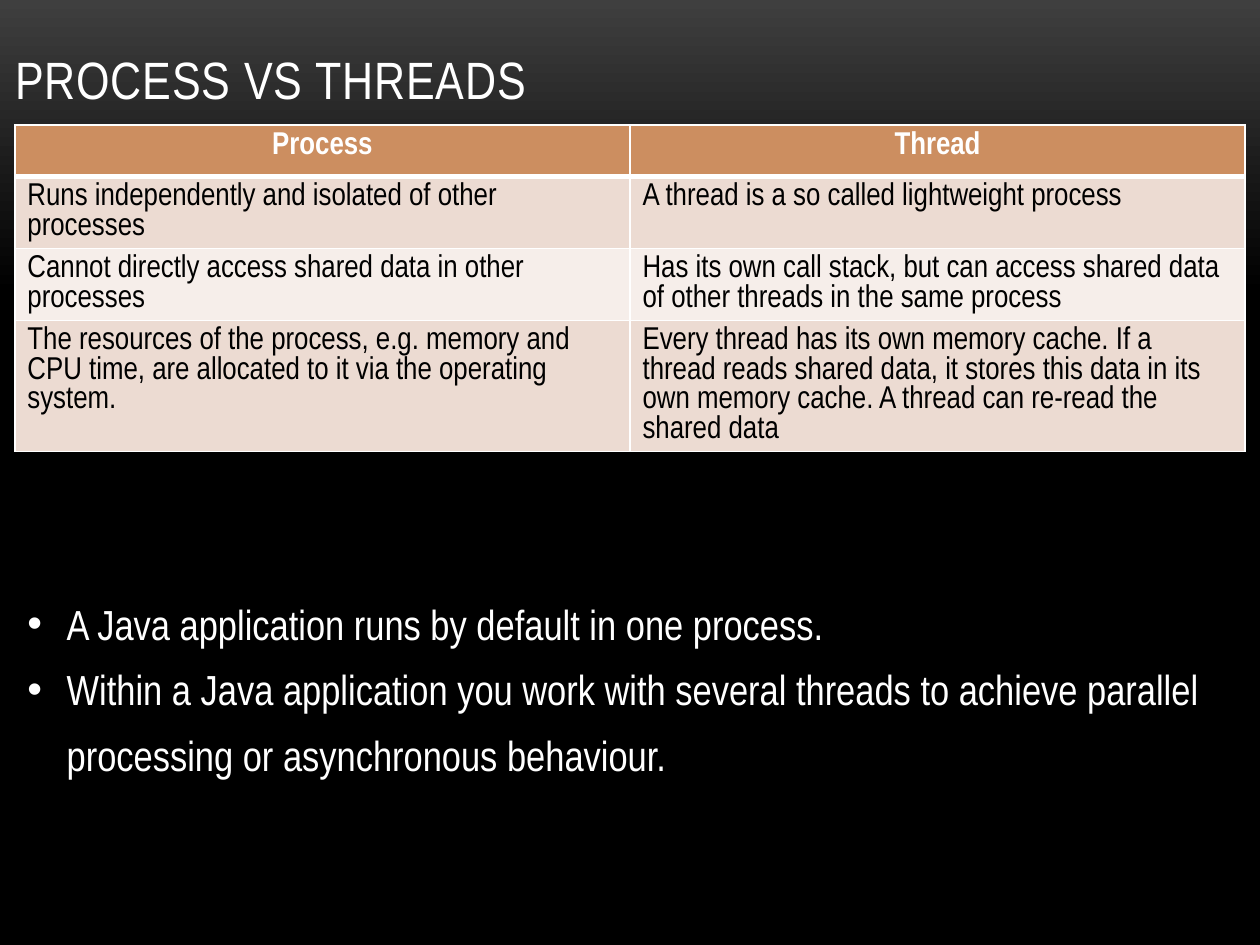
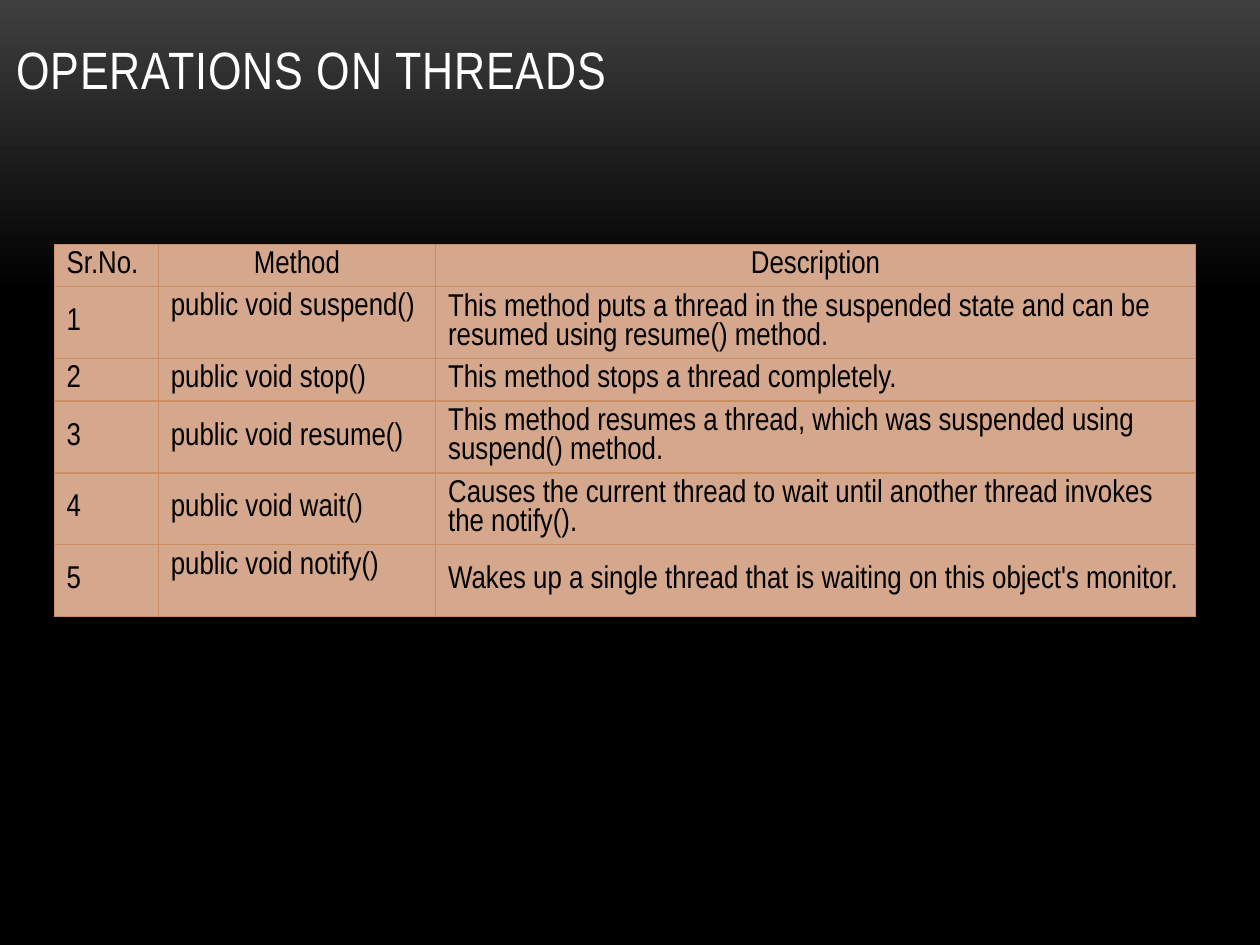
"""Build two slides that compare processes with threads and list thread operations."""
from dataclasses import dataclass

from lxml import etree
from pptx import Presentation
from pptx import util as u
from pptx.dml.color import RGBColor
from pptx.enum import text
from pptx.oxml.ns import qn

FONT = "Arial Narrow"
WHITE, BLACK, CHARCOAL = "FFFFFF", "000000", "3F3F3F"
COPPER, SAND, ROSE, PALE = "CC8E60", "D5A78C", "ECDBD2", "F6EEEA"
LEFT, CENTER = text.PP_ALIGN.LEFT, text.PP_ALIGN.CENTER
TOP, MIDDLE, BOTTOM = text.MSO_ANCHOR.TOP, text.MSO_ANCHOR.MIDDLE, text.MSO_ANCHOR.BOTTOM


@dataclass
class Box:
    left: float
    top: float
    width: float
    height: float


@dataclass
class Cell:
    words: str
    fill: str
    color: str = BLACK
    bold: bool = False
    align: text.PP_ALIGN = LEFT
    anchor: text.MSO_ANCHOR = TOP


@dataclass
class Grid:
    left: float
    top: float
    columns: list[float]
    rows: list[float]
    cells: list[list[Cell]]
    line_color: str
    line_width: float
    header_rule: float


COMPARISON = [
    ("Process", "Thread"),
    ("Runs independently and isolated of other processes",
     "A thread is a so called lightweight process"),
    ("Cannot directly access shared data in other processes",
     "Has its own call stack, but can access shared data of other threads in the same process"),
    ("The resources of the process, e.g. memory and CPU time, are allocated to it via the "
     "operating system.",
     "Every thread has its own memory cache. If a thread reads shared data, it stores this data "
     "in its own memory cache. A thread can re-read the shared data"),
]
JAVA_NOTES = [
    "A Java application runs by default in one process.",
    "Within a Java application you work with several threads to achieve parallel "
    "processing or asynchronous behaviour.",
]
OPERATIONS = [
    ("public void suspend()",
     "This method puts a thread in the suspended state and can be resumed using resume() method."),
    ("public void stop()", "This method stops a thread completely."),
    ("public void resume()",
     "This method resumes a thread, which was suspended using suspend() method."),
    ("public void wait()",
     "Causes the current thread to wait until another thread invokes the notify()."),
    ("public void notify()",
     "Wakes up a single thread that is waiting on this object's monitor."),
]
TOP_METHODS = {"public void suspend()", "public void notify()"}


def rgb(color: str) -> RGBColor:
    return RGBColor.from_string(color)


def write(paragraph, words: str, *, size: float, color: str = WHITE, bold: bool = False,
          align: text.PP_ALIGN = LEFT, line_spacing: float = 1.0, tracking: int = 0) -> None:
    paragraph.alignment = align
    paragraph.line_spacing = line_spacing
    paragraph.space_before = u.Pt(0)
    run = paragraph.add_run()
    run.text = words
    run.font.name = FONT
    run.font.size = u.Pt(size)
    run.font.bold = bold
    run.font.color.rgb = rgb(color)
    if tracking:
        run.font._element.set("spc", str(tracking))


def place(shape, box: Box, anchor: text.MSO_ANCHOR):
    shape.left, shape.top = u.Cm(box.left), u.Cm(box.top)
    shape.width, shape.height = u.Cm(box.width), u.Cm(box.height)
    frame = shape.text_frame
    frame.word_wrap = True
    frame.auto_size = text.MSO_AUTO_SIZE.NONE
    frame.vertical_anchor = anchor
    return frame


def add_slide(presentation, layout: str, title: str, box: Box):
    slide = presentation.slides.add_slide(presentation.slide_layouts.get_by_name(layout))
    frame = place(slide.shapes.title, box, BOTTOM)
    write(frame.paragraphs[0], title, size=30, tracking=50)
    return slide


def add_bullets(shape, box: Box, items: list[str]) -> None:
    frame = place(shape, box, TOP)
    for index, item in enumerate(items):
        paragraph = frame.add_paragraph() if index else frame.paragraphs[0]
        properties = paragraph._p.get_or_add_pPr()
        properties.set("marL", str(u.Cm(0.79)))
        properties.set("indent", str(-u.Cm(0.79)))
        etree.SubElement(properties, qn("a:buFont")).set("typeface", "Arial")
        etree.SubElement(properties, qn("a:buChar")).set("char", "•")
        write(paragraph, item, size=24, line_spacing=1.3)


def set_borders(cell, color: str, widths: dict[str, float]) -> None:
    properties = cell._tc.get_or_add_tcPr()
    for side, width in widths.items():
        line = etree.SubElement(properties, qn(f"a:ln{side}"), w=str(u.Pt(width)))
        fill = etree.SubElement(line, qn("a:solidFill"))
        etree.SubElement(fill, qn("a:srgbClr")).set("val", color)


def add_grid(slide, grid: Grid) -> None:
    frame = slide.shapes.add_table(
        len(grid.rows), len(grid.columns), u.Cm(grid.left), u.Cm(grid.top),
        u.Cm(sum(grid.columns)), u.Cm(sum(grid.rows)))
    table = frame.table
    table.first_row = table.horz_banding = False
    for column, width in zip(table.columns, grid.columns):
        column.width = u.Cm(width)
    for index, (row, height, contents) in enumerate(zip(table.rows, grid.rows, grid.cells)):
        row.height = u.Cm(height)
        widths = dict.fromkeys("LRTB", grid.line_width)
        if index < 2:
            widths["T" if index else "B"] = grid.header_rule
        for cell, content in zip(row.cells, contents):
            set_borders(cell, grid.line_color, widths)
            cell.fill.solid()
            cell.fill.fore_color.rgb = rgb(content.fill)
            cell.vertical_anchor = content.anchor
            write(cell.text_frame.paragraphs[0], content.words, size=18, color=content.color,
                  bold=content.bold, align=content.align)


def set_background(master) -> None:
    fill = master.background.fill
    fill.gradient()
    fill.gradient_angle = 270
    for stop, color, position in zip(fill.gradient_stops, (CHARCOAL, BLACK), (0, 0.31)):
        stop.color.rgb = rgb(color)
        stop.position = position


def comparison_cells() -> list[list[Cell]]:
    header, *body = COMPARISON
    cells = [[Cell(words, COPPER, WHITE, True, CENTER) for words in header]]
    for index, row in enumerate(body):
        cells.append([Cell(words, PALE if index % 2 else ROSE) for words in row])
    return cells


def operation_cells() -> list[list[Cell]]:
    cells = [[Cell("Sr.No.", SAND, anchor=MIDDLE)]
             + [Cell(words, SAND, align=CENTER, anchor=MIDDLE)
                for words in ("Method", "Description")]]
    for number, (method, description) in enumerate(OPERATIONS, start=1):
        cells.append([Cell(words, SAND, anchor=TOP if words in TOP_METHODS else MIDDLE)
                      for words in (str(number), method, description)])
    return cells


def main() -> None:
    presentation = Presentation()
    presentation.slide_width, presentation.slide_height = u.Cm(25.4), u.Cm(19.05)
    set_background(presentation.slide_master)

    comparison = add_slide(presentation, "Title and Content", "PROCESS VS THREADS",
                           Box(0.05, 0.13, 21.84, 2.21))
    add_grid(comparison, Grid(0.3, 2.52, [12.4] * 2, [1.04, 1.45, 1.45, 2.64],
                              comparison_cells(), WHITE, 1, 3))
    add_bullets(comparison.placeholders[1], Box(0.3, 11.63, 24.64, 3.33), JAVA_NOTES)

    operations = add_slide(presentation, "Title Only", "OPERATIONS ON THREADS",
                           Box(0.08, 0.08, 21.41, 2.06))
    one_line, two_lines = 0.85, 1.45
    add_grid(operations, Grid(1.09, 4.93, [2.1, 5.59, 15.32],
                              [one_line, two_lines, one_line] + [two_lines] * 3,
                              operation_cells(), COPPER, 0.75, 0.75))
    presentation.save("out.pptx")


if __name__ == "__main__":
    main()
